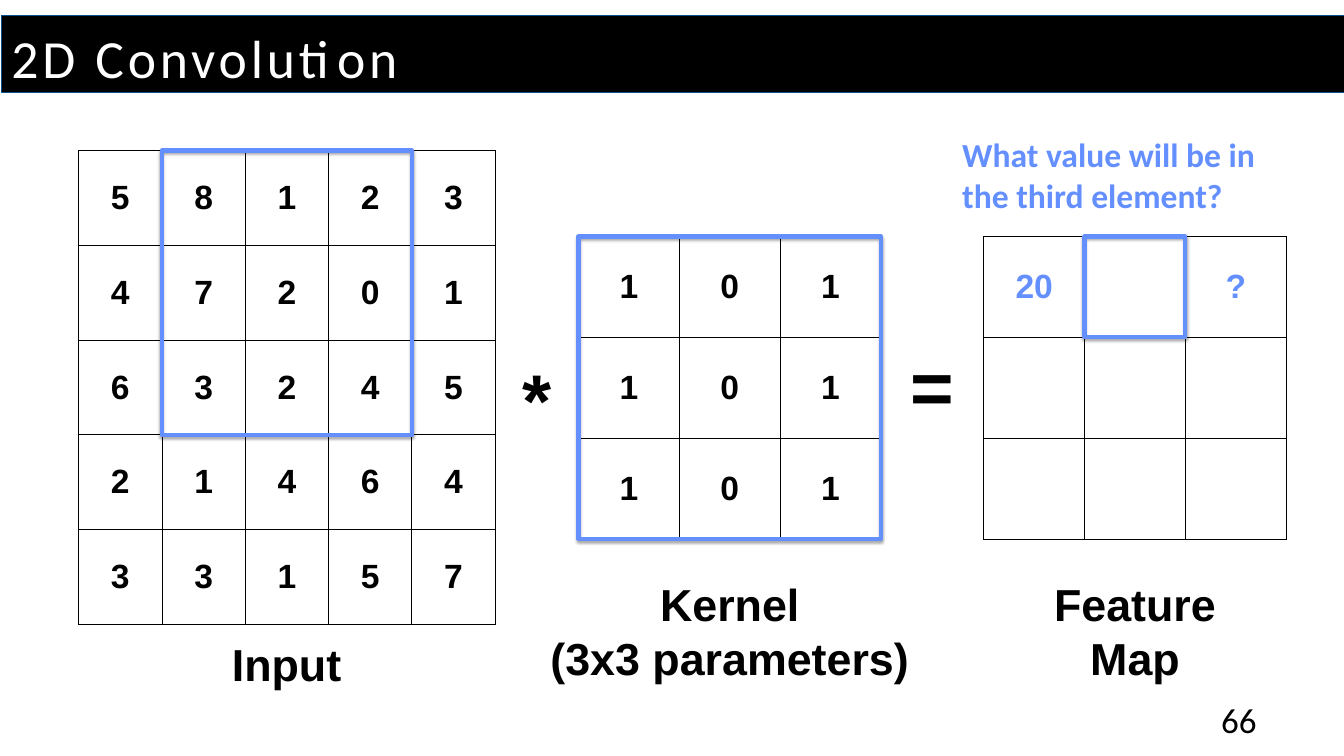
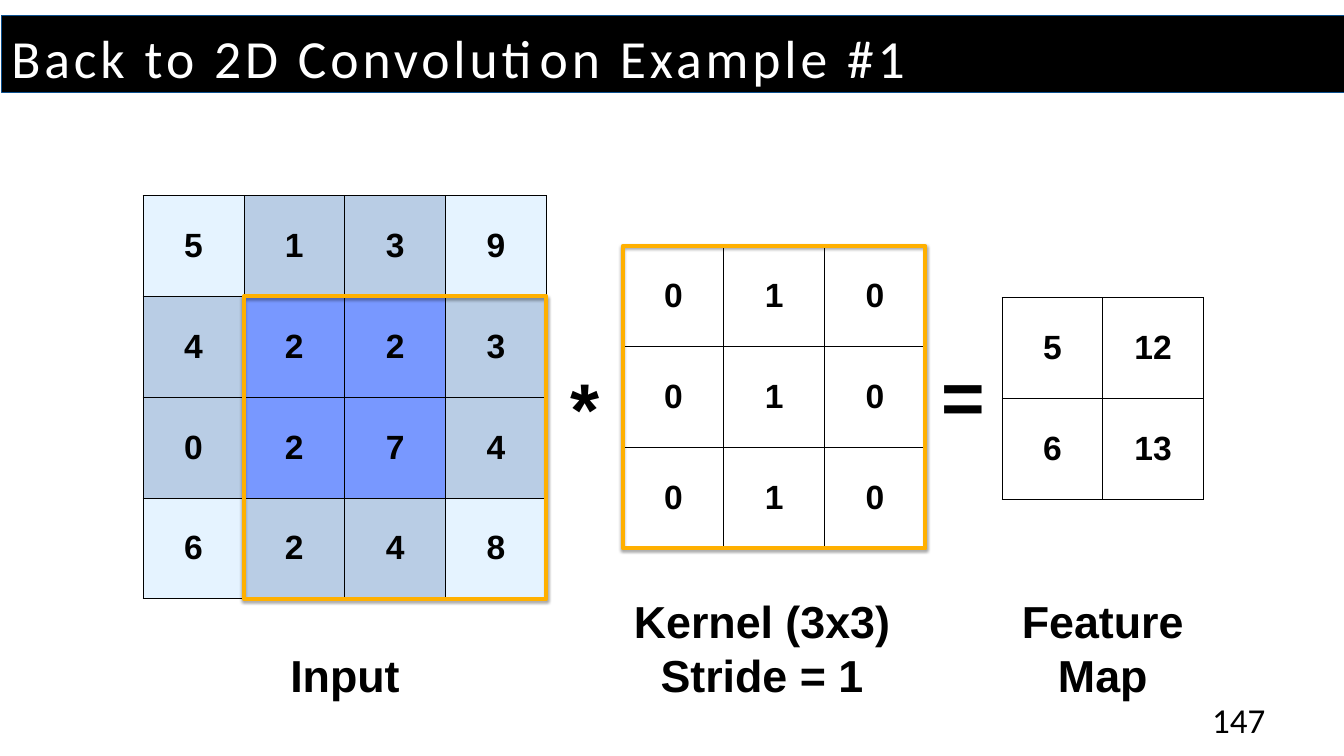
from lxml import etree
from pptx import Presentation
from pptx.dml.color import RGBColor
from pptx.enum.shapes import MSO_SHAPE
from pptx.enum.text import MSO_ANCHOR, MSO_AUTO_SIZE, PP_ALIGN
from pptx.oxml import parse_xml
from pptx.oxml.ns import nsdecls
from pptx.util import Inches, Pt

RECTANGLE = MSO_SHAPE.RECTANGLE
TOP, MIDDLE = MSO_ANCHOR.TOP, MSO_ANCHOR.MIDDLE
LEFT, CENTER = PP_ALIGN.LEFT, PP_ALIGN.CENTER
NO_AUTOFIT = MSO_AUTO_SIZE.NONE

SLIDE_W, SLIDE_H = 20, 11.25
TITLE_ONLY = 5
KERNEL = 3  # kernel cells per side
COLORS = {
    "black": "000000", "white": "FFFFFF", "band_edge": "0B4F8E",
    "blue": "648FFF", "orange": "FFB000",
}
# Input cell fill by the number of kernel placements that cover the cell
COVERAGE_FILLS = {1: "E5F3FF", 2: "B9CDE5", 4: "7898FF"}

# Content: each grid has its place, cell size, values and caption;
# "window" is the framed part as column, row, columns, rows.
SLIDES = [
    {
        "title": "2D Convolution", "title_width": 12.75,
        "number": "66", "accent": "blue", "shade_input": False,
        "prompt": "What value will be in the third element?",
        "grids": [
            {"at": (1.17, 2.24), "cell": (1.24, 1.41),
             "values": ["58123", "47201", "63245", "21464", "33157"],
             "window": (1, 0, 3, 3),
             "caption": ["Input"], "caption_box": (9.43, 1.85)},
            {"at": (8.61, 3.52), "cell": (1.5, 1.5),
             "values": ["101"] * 3, "window": (0, 0, 3, 3),
             "caption": ["Kernel", "(3x3 parameters)"],
             "caption_box": (8.54, 5.6)},
            {"at": (14.64, 3.52), "cell": (1.5, 1.5),
             "values": [["20", "", "?"], [""] * 3, [""] * 3],
             "window": (1, 0, 1, 1), "ink": "blue",
             "caption": ["Feature", "Map"], "caption_box": (8.54, 2.64)},
        ],
    },
    {
        "title": "Back to 2D Convolution Example #1", "title_width": 18.25,
        "number": "147", "accent": "orange", "shade_input": True,
        "grids": [
            {"at": (2.13, 2.91), "cell": (1.5, 1.5),
             "values": ["5139", "4223", "0274", "6248"],
             "window": (1, 1, 3, 3),
             "caption": ["Input"], "caption_box": (9.59, 1.85)},
            {"at": (9.27, 3.66), "cell": (1.5, 1.5),
             "values": ["010"] * 3, "window": (0, 0, 3, 3),
             "caption": ["Kernel (3x3)", "Stride = 1"],
             "caption_box": (8.79, 4.06), "caption_shift": -0.18},
            {"at": (14.91, 4.43), "cell": (1.5, 1.5),
             "values": [["5", "12"], ["6", "13"]], "outlined": True,
             "caption": ["Feature", "Map"], "caption_box": (8.79, 2.64)},
        ],
    },
]
# Operator, width and rise of its box above the kernel's middle
OPERATORS = [("*", 0.64, 0.57), ("=", 0.86, 0.76)]


def rgb(name):
    return RGBColor.from_string(COLORS.get(name, name))


def box(x, y, width, height):
    return [Inches(round(v, 2)) for v in (x, y, width, height)]


def write(frame, lines, size, color="black", font="Arial", bold=True,
          align=CENTER):
    """Write one paragraph per line and return the runs."""
    runs = []
    for i, line in enumerate(lines):
        paragraph = frame.add_paragraph() if i else frame.paragraphs[0]
        paragraph.alignment = align
        run = paragraph.add_run()
        run.text = line
        run.font.name, run.font.size, run.font.bold = font, Pt(size), bold
        run.font.color.rgb = rgb(color)
        runs.append(run)
    return runs


def add_text(slide, place, lines, size, wrap=False, **style):
    frame = slide.shapes.add_textbox(*box(*place)).text_frame
    frame.word_wrap = wrap
    write(frame, lines, size, **style)


def line_xml(tag, width):
    return parse_xml(
        f'<a:{tag} {nsdecls("a")} w="{Pt(width)}"><a:solidFill>'
        f'<a:srgbClr val="{COLORS["black"]}"/></a:solidFill></a:{tag}>')


def coverage(index, count):
    """Number of kernel placements along one axis that reach a cell."""
    return sum(start <= index < start + KERNEL
               for start in range(count - KERNEL + 1))


def grid_size(grid):
    rows, columns = len(grid["values"]), len(grid["values"][0])
    return columns * grid["cell"][0], rows * grid["cell"][1]


def add_grid(slide, grid, shaded):
    values = grid["values"]
    rows, columns = len(values), len(values[0])
    table = slide.shapes.add_table(
        rows, columns, *box(*grid["at"], *grid_size(grid))).table
    table.first_row = table.horz_banding = False
    for r, row in enumerate(values):
        for c, value in enumerate(row):
            cell = table.cell(r, c)
            cell.vertical_anchor = MIDDLE
            cell.margin_left = cell.margin_right = Inches(0.2)
            cell.margin_top = cell.margin_bottom = Inches(0.1)
            if shaded:
                cell.fill.solid()
                covered = coverage(r, rows) * coverage(c, columns)
                cell.fill.fore_color.rgb = rgb(COVERAGE_FILLS[covered])
            else:
                cell.fill.background()
            properties = cell._tc.get_or_add_tcPr()
            for i, side in enumerate(("lnL", "lnR", "lnT", "lnB")):
                properties.insert(i, line_xml(side, 1))
            if value:
                run, = write(cell.text_frame, [value], 36,
                             grid.get("ink", "black"))
                if grid.get("outlined"):
                    run.font._element.insert(0, line_xml("ln", 0.75))


def add_window(slide, grid, accent):
    column, row, columns, rows = grid["window"]
    (left, top), (width, height) = grid["at"], grid["cell"]
    window = slide.shapes.add_shape(RECTANGLE, *box(
        left + column * width, top + row * height,
        columns * width, rows * height))
    window.fill.background()
    window.line.color.rgb, window.line.width = rgb(accent), Pt(4.5)
    window.shadow.inherit = False
    effects = window._element.spPr.find(
        "{http://schemas.openxmlformats.org/drawingml/2006/main}effectLst")
    etree.SubElement(effects, "dummy")
    effects[0].getparent().replace(effects[0], parse_xml(
        f'<a:outerShdw {nsdecls("a")} blurRad="{Pt(3.1)}" dist="{Pt(1.8)}" '
        f'dir="5400000" rotWithShape="0"><a:srgbClr val="{COLORS["black"]}">'
        '<a:alpha val="35000"/></a:srgbClr></a:outerShdw>'))


def add_caption(slide, grid):
    top, width = grid["caption_box"]
    middle = grid["at"][0] + grid_size(grid)[0] / 2
    left = middle - width / 2 + grid.get("caption_shift", 0)
    lines = grid["caption"]
    add_text(slide, (left, top, width, 0.1 + 0.81 * len(lines)), lines, 48)


def add_operators(slide, grids):
    """Centre each operator in the gap between two neighbouring grids."""
    kernel = grids[1]
    kernel_middle = kernel["at"][1] + grid_size(kernel)[1] / 2
    for (sign, width, rise), before, after in zip(OPERATORS, grids, grids[1:]):
        gap_start = before["at"][0] + grid_size(before)[0]
        middle = (gap_start + after["at"][0]) / 2
        add_text(slide, (middle - width / 2, kernel_middle - rise,
                         width, 1.45), [sign], 80)


def add_number(slide, number):
    plate = slide.shapes.add_shape(RECTANGLE, *box(17.66, 10.35, 1.55, 0.65))
    plate.fill.solid()
    plate.fill.fore_color.rgb = rgb("white")
    plate.line.fill.background()
    plate.shadow.inherit = False
    plate.text_frame.vertical_anchor = TOP
    write(plate.text_frame, [number], 37.5, font="Calibri", bold=False)


def add_title(slide, text, width):
    # Black band: an outline with a slightly lower bar on top
    left, top, band_w, band_h = box(0.02, 0.23, SLIDE_W, 1.14)
    band = slide.shapes.add_group_shape().shapes
    outline = band.build_freeform(left, top)
    outline.add_line_segments([
        (left + band_w, top), (left + band_w, top + band_h),
        (left, top + band_h)], close=True)
    bar = band.add_shape(RECTANGLE, left, top, band_w, Inches(1.11))
    for part in (outline.convert_to_shape(), bar):
        part.fill.solid()
        part.fill.fore_color.rgb = rgb("black")
        part.line.color.rgb, part.line.width = rgb("band_edge"), Pt(0.75)
        part.shadow.inherit = False
    # The band goes behind the title
    title = slide.shapes.title
    title.element.getparent().append(title.element)
    title.left, title.top, title.width, title.height = box(
        0.17, 0.29, width, 0.95)
    frame = title.text_frame
    frame.margin_left = frame.margin_right = 0
    frame.margin_top = frame.margin_bottom = 0
    frame.vertical_anchor, frame.auto_size = TOP, NO_AUTOFIT
    run, = write(frame, [text], 57.5, "white", "Calibri", False, LEFT)
    run.font._element.set("spc", "420")
    frame.paragraphs[0].line_spacing = Pt(74.8)


def build_slide(deck, content):
    slide = deck.slides.add_slide(deck.slide_layouts[TITLE_ONLY])
    grids = content["grids"]
    for i, grid in enumerate(grids):
        add_grid(slide, grid, shaded=content["shade_input"] and i == 0)
        add_caption(slide, grid)
    add_operators(slide, grids)
    for grid in grids:
        if "window" in grid:
            add_window(slide, grid, content["accent"])
    if "prompt" in content:
        add_text(slide, (14.22, 1.95, 5.34, 1.31), [content["prompt"]], 36,
                 wrap=True, color="blue", font="Calibri", align=LEFT)
    add_number(slide, content["number"])
    add_title(slide, content["title"], content["title_width"])


def main():
    deck = Presentation()
    deck.slide_width, deck.slide_height = Inches(SLIDE_W), Inches(SLIDE_H)
    for content in SLIDES:
        build_slide(deck, content)
    deck.save("out.pptx")


if __name__ == "__main__":
    main()
